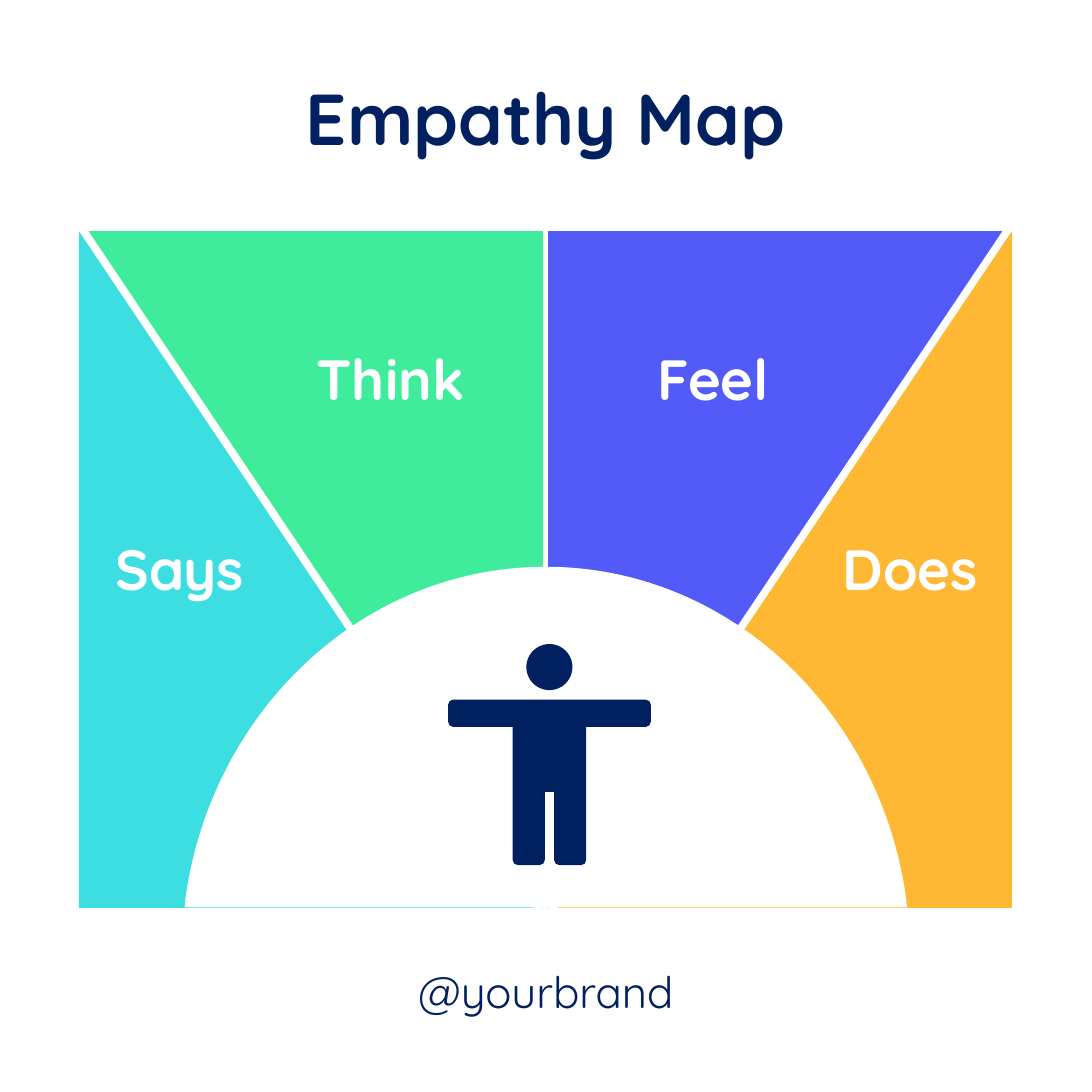
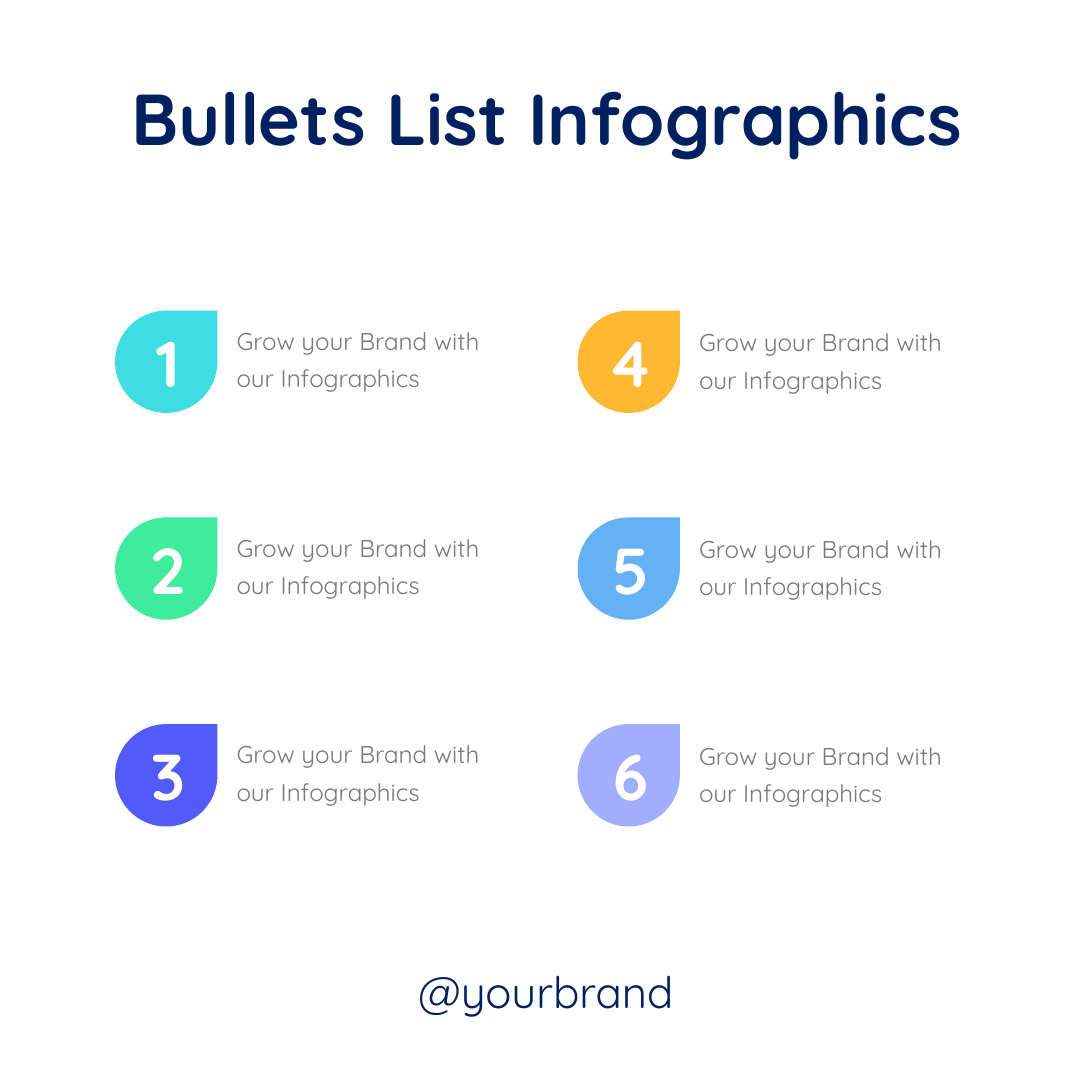
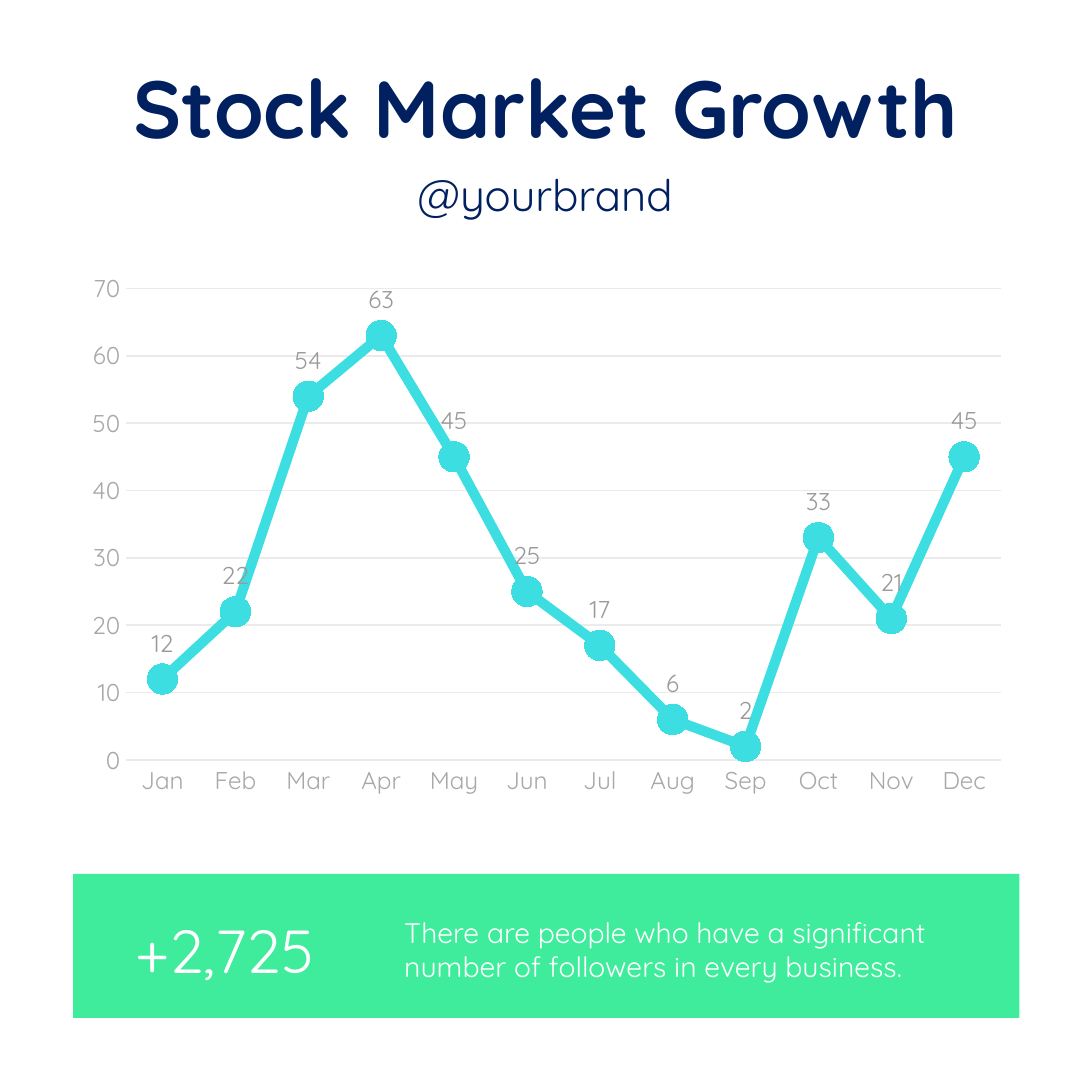
import math
import lxml.etree
import pptx
import pptx.chart.data
import pptx.dml.color
import pptx.enum.chart
import pptx.enum.shapes
import pptx.enum.text
import pptx.oxml.ns
import pptx.util

Pt = pptx.util.Pt
RGB = pptx.dml.color.RGBColor
Kind = pptx.enum.shapes.MSO_SHAPE
Align = pptx.enum.text.PP_ALIGN
Chart = pptx.enum.chart
qn = pptx.oxml.ns.qn

NAVY = RGB(0x00, 0x20, 0x5F)
WHITE = RGB(0xFF, 0xFF, 0xFF)
CYAN = RGB(0x3C, 0xDE, 0xE2)
GREEN = RGB(0x3E, 0xEC, 0x9C)
BLUE = RGB(0x52, 0x5B, 0xF7)
AMBER = RGB(0xFE, 0xB8, 0x33)
SKY = RGB(0x65, 0xB1, 0xF5)
LILAC = RGB(0xA1, 0xAD, 0xFD)
GREY = RGB(0x7A, 0x79, 0x7A)
SILVER = RGB(0x9B, 0x9A, 0x9B)
ASH = RGB(0xA9, 0xA8, 0xA9)
PALE = RGB(0xEB, 0xEB, 0xEB)

FONT = "Quicksand"
SIDE = 540


def style(font, size, color, bold=False):
    font.name = FONT
    font.size = Pt(size)
    font.color.rgb = color
    font.bold = bold


def paint(shape, color):
    shape.fill.solid()
    shape.fill.fore_color.rgb = color
    shape.line.fill.background()
    shape.shadow.inherit = False
    return shape


def block(shapes, kind, box, color):
    return paint(shapes.add_shape(kind, *map(Pt, box)), color)


def outline(shapes, first, steps, color):
    pen = shapes.build_freeform(*map(Pt, first), scale=1.0)
    pen.add_line_segments([(Pt(x), Pt(y)) for step in steps for x, y in step],
                          close=True)
    shape = paint(pen.convert_to_shape(), color)
    lines = iter(list(shape._element.iter(qn("a:lnTo"))))
    for step in steps:
        group = [next(lines) for _ in step]
        if len(group) == 3:
            curve = lxml.etree.Element(qn("a:cubicBezTo"))
            group[0].addprevious(curve)
            for line in group:
                curve.append(line[0])
                line.getparent().remove(line)


def label(shapes, text, box, size, color, bold=False,
          align=Align.LEFT, pitch=None):
    frame = shapes.add_textbox(*map(Pt, box)).text_frame
    frame.word_wrap = True
    frame.auto_size = pptx.enum.text.MSO_AUTO_SIZE.SHAPE_TO_FIT_TEXT
    para = frame.paragraphs[0]
    para.text = text
    para.alignment = align
    if pitch:
        para.line_spacing = Pt(pitch)
    style(para.font, size, color, bold)


def start(deck, title, box=(28.8, 32.7, 482.4, 50), size=35.6,
          spot=(171, 473.8)):
    slide = deck.slides.add_slide(deck.slide_layouts[6])
    slide.background.fill.solid()
    slide.background.fill.fore_color.rgb = WHITE
    label(slide.shapes, title, box, size, NAVY, True, Align.CENTER)
    label(slide.shapes, "@yourbrand", (*spot, 198, 33), 21.6, NAVY,
          align=Align.CENTER)
    return slide.shapes


def dome(shapes, mid, top, base):
    edge = base - 6
    right = [(90, top), (164.4, 350.6), (178, edge)]
    left = [(-178, edge), (-164.4, 350.6), (-90, top), (0, top)]
    steps = [right, [(178.6, base)], [(-178.6, base)], left[:1], left[1:]]
    outline(shapes, (mid, top),
            [[(mid + x, y) for x, y in step] for step in steps], WHITE)


def toward(near, far, part):
    return tuple(a + (b - a) * part for a, b in zip(near, far))


def soften(corners):
    steps = []
    for i, (spot, radius) in enumerate(corners):
        if not radius:
            steps.append([spot])
            continue
        ends = [toward(spot, far, radius / math.dist(spot, far))
                for far in (corners[i - 1][0],
                            corners[(i + 1) % len(corners)][0])]
        bends = [toward(end, spot, 0.55) for end in ends]
        steps += [[ends[0]], [*bends, ends[1]]]
    return steps


def person(shapes, mid):
    parts = shapes.add_group_shape().shapes
    block(parts, Kind.OVAL, (mid - 11.4, 318.5, 22.8, 22.8), NAVY)
    half = [(50.1, 346, 2.5), (50.1, 359.5, 2.5), (18.2, 359.5, 0),
            (18.2, 427.8, 2.5), (2.3, 427.8, 2.5), (2.3, 391.6, 0)]
    right = [((mid + x, y), r) for x, y, r in half]
    left = [((mid - x, y), r) for x, y, r in reversed(half)]
    first, *rest = soften(right + left)
    outline(parts, first[0], rest, NAVY)


def empathy(deck):
    shapes = start(deck, "Empathy Map")
    mid, top, wide, high = 269.7, 114.3, 224.6, 334.7
    outer, inner = 230.7, 225.9
    parts = shapes.add_group_shape().shapes
    for left, color, turn, flip in (
            (mid - outer, CYAN, 0, False),
            (mid - inner, GREEN, 180, False),
            (mid + outer - wide, AMBER, 0, True),
            (mid + inner - wide, BLUE, 180, True)):
        wedge = block(parts, Kind.RIGHT_TRIANGLE, (left, top, wide, high),
                      color)
        wedge.rotation = turn
        if flip:
            wedge._element.spPr.xfrm.set("flipH", "1")
    dome(shapes, mid + 0.2, 280.3, 448.8)
    for text, left, y, align in (
            ("Think", 145.9, 166.7, Align.CENTER),
            ("Says", 41.6, 260.5, Align.CENTER),
            ("Feel", 305.4, 166.7, Align.CENTER),
            ("Does", 396.3, 260.5, Align.RIGHT)):
        label(shapes, text, (left, y, 94.3, 41), 28, WHITE, True, align)
    person(shapes, 271.7)


def bullets(deck):
    shapes = start(deck, "Bullets List Infographics",
                   (40.1, 32.7, 460.8, 50))
    for i, color in enumerate((CYAN, GREEN, BLUE, AMBER, SKY, LILAC)):
        col, row = divmod(i, 3)
        x, y = 56.9 + 228.7 * col, 153.6 + 102.25 * row
        parts = shapes.add_group_shape().shapes
        block(parts, Kind.TEAR, (x, y, 50.6, 50.6), color)
        label(parts, str(i + 1), (x + 2.3, y + 2.4, 48.2, 46), 32, WHITE,
              True, Align.CENTER)
        label(shapes, "Grow your Brand with our Infographics",
              (x + 53, y + 0.2 + 0.7 * col, 147.6, 42), 12, GREY,
              pitch=18.4)


def trend(shapes):
    data = pptx.chart.data.CategoryChartData()
    data.categories = ["Jan", "Feb", "Mar", "Apr", "May", "Jun",
                       "Jul", "Aug", "Sep", "Oct", "Nov", "Dec"]
    data.add_series("Series 1", (12, 22, 54, 63, 45, 25, 17, 6, 2, 33, 21, 45))
    chart = shapes.add_chart(Chart.XL_CHART_TYPE.LINE_MARKERS,
                             *map(Pt, (36.2, 129.8, 468, 269.2)), data).chart
    chart.has_legend = False
    chart.has_title = False
    style(chart.font, 12, GREY)

    cats, vals = chart.category_axis, chart.value_axis
    for axis in (cats, vals):
        axis.major_tick_mark = Chart.XL_TICK_MARK.NONE
        axis.minor_tick_mark = Chart.XL_TICK_MARK.NONE
        style(axis.tick_labels.font, 12, ASH)
    vals.minimum_scale, vals.maximum_scale, vals.major_unit = 0, 70, 10
    vals.has_major_gridlines = True
    vals.format.line.fill.background()
    for line in (cats.format.line, vals.major_gridlines.format.line):
        line.color.rgb = PALE
        line.width = Pt(0.75)

    plot = chart.plots[0]
    plot.vary_by_categories = False
    series = plot.series[0]
    series.smooth = False
    series.format.line.color.rgb = CYAN
    series.format.line.width = Pt(5)
    mark = series.marker
    mark.style = Chart.XL_MARKER_STYLE.CIRCLE
    mark.size = 15
    mark.format.fill.solid()
    mark.format.fill.fore_color.rgb = CYAN
    mark.format.line.fill.background()
    tags = series.data_labels
    tags.show_value = True
    tags.position = Chart.XL_LABEL_POSITION.ABOVE
    style(tags.font, 12, SILVER)


def growth(deck):
    shapes = start(deck, "Stock Market Growth", (37.5, 25.2, 464.6, 55.4),
                   40, (170.6, 79.6))
    trend(shapes)
    block(shapes, Kind.RECTANGLE, (36.2, 432.1, 468, 71.3), GREEN)
    label(shapes, "+2,725", (59.8, 447.8, 121.7, 44), 30, WHITE)
    label(shapes, "There are people who have a significant "
          "number of followers in every business.",
          (192.8, 449.3, 293.8, 41), 14, WHITE)


def main():
    deck = pptx.Presentation()
    deck.slide_width = deck.slide_height = Pt(SIDE)
    empathy(deck)
    bullets(deck)
    growth(deck)
    deck.save("out.pptx")


if __name__ == "__main__":
    main()
